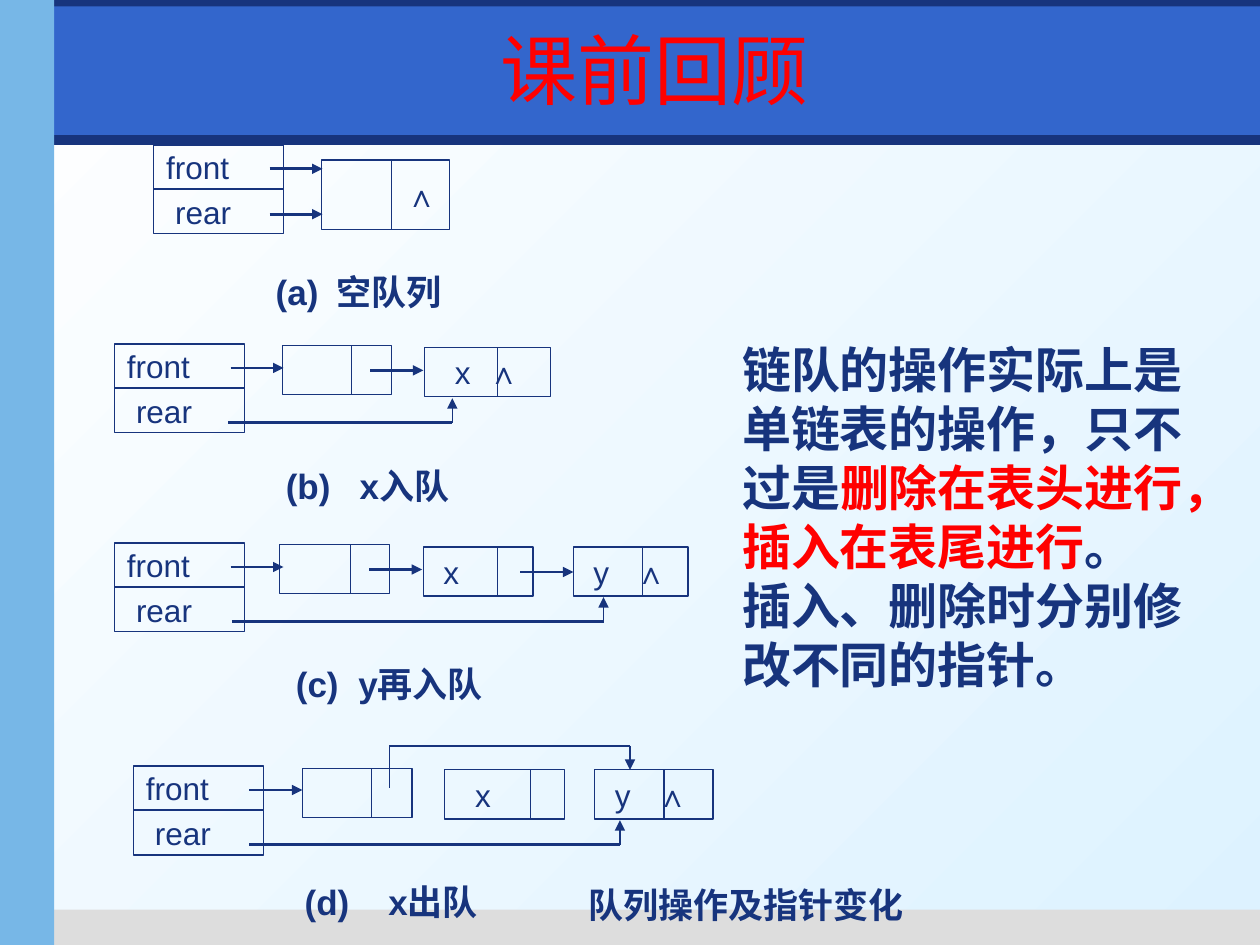
from dataclasses import dataclass
from lxml import etree
from pptx import Presentation, util as u
from pptx.dml.color import RGBColor
from pptx.enum import shapes, text
from pptx.oxml.ns import qn


@dataclass(frozen=True)
class Theme:
    """Colours, fonts and type sizes of the slide."""
    navy: str = "17347D"
    blue: str = "3366CC"
    sky: str = "77B7E7"
    grey: str = "DDDDDD"
    red: str = "FF0000"
    white: str = "FFFFFF"
    pale: str = "DDF2FF"
    latin: str = "Arial"
    cjk: str = "Noto Sans CJK SC"
    title: int = 44
    body: int = 28
    caption: int = 20
    node: int = 18
    thin: float = 0.75
    thick: float = 1.5


@dataclass(frozen=True)
class Box:
    """A region measured in columns and rows, 100 by 75 to the slide."""
    x: float
    y: float
    w: float = 0
    h: float = 0

    def sub(self, x, y, w=0, h=0):
        """Return a box placed relative to this one."""
        return Box(self.x + x, self.y + y, w, h)

    def emu(self):
        """Return left, top, width and height as lengths."""
        return [u.Inches(v / 10) for v in (self.x, self.y, self.w, self.h)]


T = Theme()
ALIGN = text.PP_ALIGN
ANCHOR = text.MSO_ANCHOR


def rgb(colour):
    """Turn a hex string into a colour."""
    return RGBColor.from_string(colour)


def write(sp, paras, size=T.node, colour=T.navy, font=T.latin, bold=False,
          align=ALIGN.LEFT, anchor=ANCHOR.MIDDLE, left=1, right=1, gap=0, leading=None):
    """Fill a shape with paragraphs of (text, colour) runs; gap widens spaces by points."""
    tf = sp.text_frame
    tf.word_wrap, tf.auto_size = True, text.MSO_AUTO_SIZE.NONE
    tf.vertical_anchor = anchor
    tf.margin_left, tf.margin_right = u.Inches(left / 10), u.Inches(right / 10)
    tf.margin_top = tf.margin_bottom = u.Inches(0.05)
    for i, runs in enumerate([paras] if isinstance(paras, str) else paras):
        p = tf.add_paragraph() if i else tf.paragraphs[0]
        p.alignment, p.space_before = align, u.Pt(0)
        if leading:
            p.line_spacing = u.Pt(leading)
        pPr = p._p.get_or_add_pPr()
        pPr.set("marL", "0")
        pPr.set("indent", "0")
        etree.SubElement(pPr, qn("a:buNone"))
        if isinstance(runs, str):
            runs = [(part, colour) for part in runs.partition(" ") if part]
        for words, tint in runs:
            r = p.add_run()
            r.text = words
            r.font.size, r.font.bold, r.font.name = u.Pt(size), bold, font
            r.font.color.rgb = rgb(tint)
            rPr = r._r.get_or_add_rPr()
            etree.SubElement(rPr, qn("a:ea"), typeface=T.cjk)
            if gap and words == " ":
                rPr.set("spc", str(round(gap * 100)))


def rect(s, box, fill=None, line=None):
    """Draw a rectangle, filled or outlined."""
    sp = s.shapes.add_shape(shapes.MSO_SHAPE.RECTANGLE, *box.emu())
    sp.shadow.inherit = False
    if fill:
        sp.fill.solid()
        sp.fill.fore_color.rgb = rgb(fill)
    else:
        sp.fill.background()
    if line:
        sp.line.color.rgb, sp.line.width = rgb(line), u.Pt(T.thin)
    else:
        sp.line.fill.background()
    return sp


def path_line(s, box, points, widths, arrow=True):
    """Join points with straight lines, the last one ending in an arrowhead."""
    legs = list(zip(points, points[1:], widths))
    for i, (start, end, width) in enumerate(legs):
        x1, y1 = box.sub(*start).emu()[:2]
        x2, y2 = box.sub(*end).emu()[:2]
        c = s.shapes.add_connector(shapes.MSO_CONNECTOR.STRAIGHT, x1, y1, x2, y2)
        c.line.color.rgb, c.line.width = rgb(T.navy), u.Pt(width)
        if arrow and i == len(legs) - 1:
            etree.SubElement(c.line._get_or_add_ln(), qn("a:tailEnd"), type="triangle")
        etree.SubElement(c._element.spPr, qn("a:effectLst"))


def arrow(s, box, x, y):
    """Draw a short pointer arrow to the right."""
    path_line(s, box, [(x, y), (x + 4.2, y)], [T.thick])


def node(s, box, divider, label="", **fmt):
    """Draw a list node with data and link fields."""
    sp = rect(s, box, line=T.navy)
    if label:
        write(sp, label, **fmt)
    path_line(s, box, [(divider, 0), (divider, box.h)], [T.thin], arrow=False)


def queue(s, box, caption, caption_at, gap, nodes, links=(), rear=None, bypass=None):
    """Draw one queue state: its two pointers, nodes, links and caption."""
    for i, (name, left) in enumerate((("front", 1), ("rear", 1.7))):
        write(rect(s, box.sub(0, i * 3.55, 10.3, 3.5), line=T.navy), name, left=left)
    for at, divider, label, fmt in nodes:
        node(s, box.sub(*at), divider, label, **fmt)
    for x, y in ((9.2, 1.9), *links):
        arrow(s, box, x, y)
    if rear:
        start, end = rear
        path_line(s, box, [(start, 6.25), (end, 6.25), (end, 4.3)], [T.thick, T.thin])
    if bypass:
        x1, x2 = bypass
        path_line(s, box, [(x1, 1.7), (x1, -1.6), (x2, -1.6), (x2, 0.3)], [T.thin] * 3)
    sp = s.shapes.add_textbox(*box.sub(*caption_at, 18, 4.3).emu())
    write(sp, caption, size=T.caption, bold=True, gap=gap)


def backdrop(s, box):
    """Paint the gradient and the coloured bars."""
    fill = s.background.fill
    fill.gradient()
    fill.gradient_angle = 315
    for stop, colour in zip(fill.gradient_stops, (T.white, T.pale)):
        stop.color.rgb = rgb(colour)
    for at, colour in (((0.4, 10.7, 99.6, 0.8), T.navy), ((3.5, 72.2, 96.5, 2.8), T.grey),
                       ((0, 0, 100, 2.1), T.navy), ((4.3, 0.5, 95.7, 10.2), T.blue),
                       ((0, 0, 4.3, 75), T.sky)):
        rect(s, box.sub(*at), fill=colour)


def placeholder(s, sp, box, paras, **fmt):
    """Move a placeholder to the front, into its box, and fill it."""
    s.shapes._spTree.append(sp._element)
    sp.left, sp.top, sp.width, sp.height = box.emu()
    write(sp, paras, **fmt)


def queue_slide(prs):
    """Build the review slide on queue operations."""
    s = prs.slides.add_slide(prs.slide_layouts[1])
    page = Box(0, 0, 100, 75)
    backdrop(s, page)
    queue(s, page.sub(12.2, 11.5), "(a) 空队列", (8.7, 9.5), 4.6,
          [((13.3, 1.2, 10.2, 5.5), 5.6, "∧", dict(align=ALIGN.RIGHT))], links=[(9.2, 5.5)])
    queue(s, page.sub(9.1, 27.3), "(b) x入队", (12.6, 9.1), 11.1,
          [((13.3, 0.1, 8.7, 3.9), 5.5, "", {}),
           ((24.6, 0.3, 10, 3.9), 5.8, "x ∧", dict(left=2.4, gap=5))],
          links=[(20.3, 2.1)], rear=(9, 26.8))
    last = dict(left=1.6, right=0.5, gap=10)
    queue(s, page.sub(9.1, 43.1), "(c) y再入队", (13.4, 9), 5.6,
          [((13.1, 0.1, 8.7, 3.9), 5.6, "", {}),
           ((24.5, 0.3, 8.7, 3.9), 5.9, "x", dict(left=1.6)),
           ((36.4, 0.3, 9.1, 3.9), 5.5, "y ∧", last)],
          links=[(20.2, 2.1), (32.2, 2.3)], rear=(9.3, 38.8))
    queue(s, page.sub(10.6, 60.8), "(d) x出队", (12.6, 8.6), 16.7,
          [((13.4, 0.2, 8.7, 3.9), 5.5, "", {}),
           ((24.7, 0.3, 9.5, 3.9), 6.8, "x", dict(left=2.4)),
           ((36.6, 0.3, 9.4, 3.9), 5.5, "y ∧", last)],
          rear=(9.2, 38.6), bypass=(20.3, 39.4))
    sp = s.shapes.add_textbox(*page.sub(42.9, 69.8, 30.7, 3.9).emu())
    write(sp, "队列操作及指针变化", size=T.caption, font=T.cjk, bold=True,
          align=ALIGN.CENTER, left=2.9)
    title, body = s.placeholders
    placeholder(s, body, page.sub(57.9, 26.4, 37, 29.3),
                [[("链队的操作实际上是单链表的操作，只不过是", T.navy),
                  ("删除在表头进行，插入在表尾进行", T.red), ("。", T.navy)],
                 "插入、删除时分别修改不同的指针。"],
                size=T.body, font=T.cjk, bold=True, anchor=ANCHOR.TOP, right=0.8, leading=33.7)
    placeholder(s, title, page.sub(5.9, 1.1, 92.1, 8.7), "课前回顾",
                size=T.title, colour=T.red, align=ALIGN.CENTER)


prs = Presentation()
prs.slide_width, prs.slide_height = u.Inches(10), u.Inches(7.5)
queue_slide(prs)
prs.save("out.pptx")
